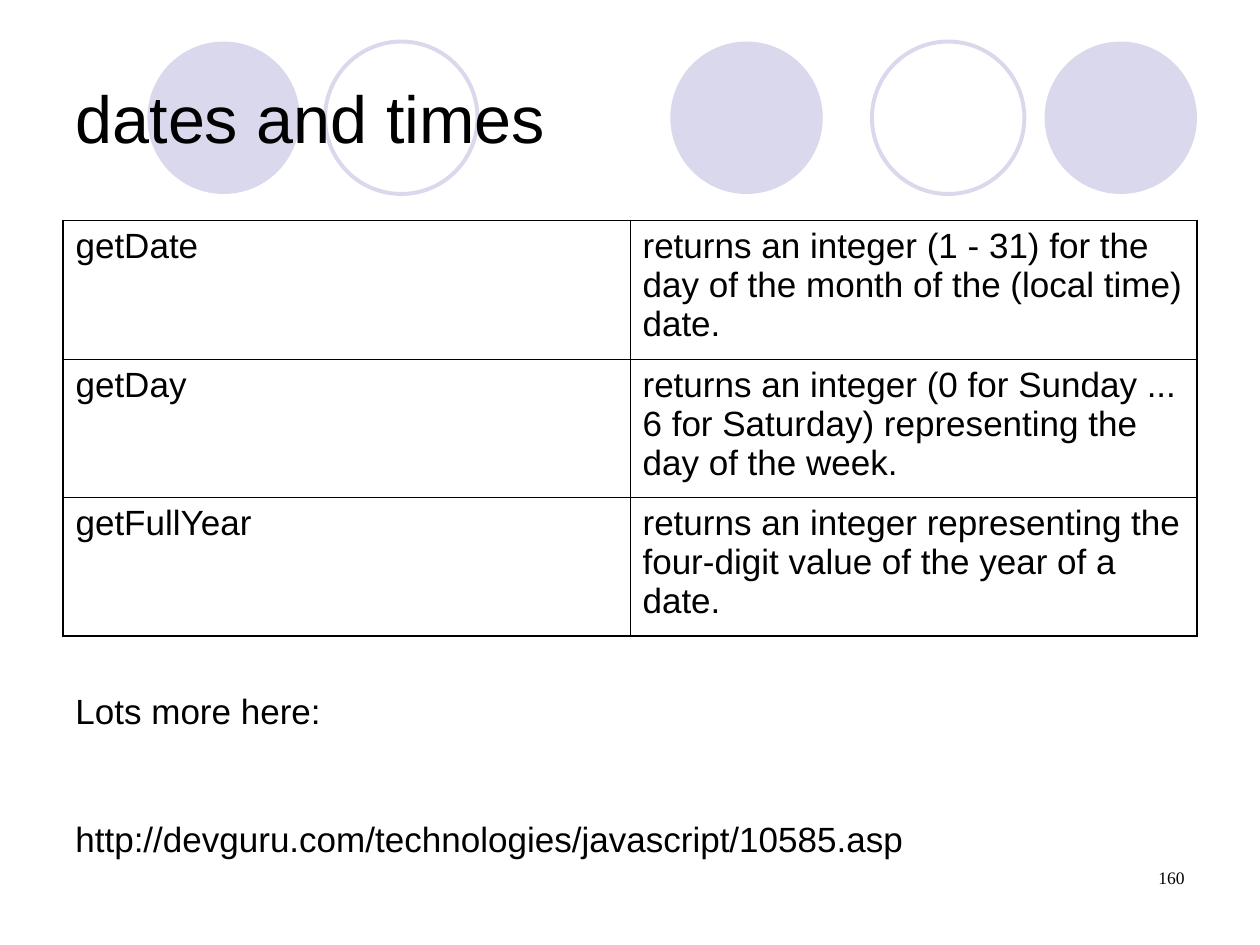
from lxml.etree import SubElement
from pptx import Presentation
from pptx.dml.color import RGBColor
from pptx.enum.shapes import MSO_SHAPE
from pptx.enum.text import MSO_ANCHOR, PP_ALIGN
from pptx.oxml.ns import qn
from pptx.util import Inches, Pt

BLACK = RGBColor(0x00, 0x00, 0x00)
LAVENDER = RGBColor(0xD9, 0xD8, 0xEC)

MARGIN = 0.5
CONTENT_WIDTH = 9
TABLE_TOP = 1.75
ROW_HEIGHT = 1.1
CIRCLE_TOP = 0.33
CIRCLE_SIZE = 1.21
OUTER_BORDER = 1.08
INNER_BORDER = 0.45

CIRCLES = [(5.32, True), (8.29, True), (1.17, True), (6.92, False), (2.58, False)]
METHODS = [
    ("getDate", "returns an integer (1 - 31) for the day of the month of the (local time) date."),
    ("getDay", "returns an integer (0 for Sunday ... 6 for Saturday) representing the day of the week."),
    ("getFullYear", "returns an integer representing the four-digit value of the year of a date."),
]


def write(para, text, size=20, font="Arial", align=PP_ALIGN.LEFT, before=0):
    para.alignment = align
    para.space_before = Pt(before)
    span = para.add_run()
    span.text = text
    span.font.size = Pt(size)
    span.font.name = font
    span.font.color.rgb = BLACK


def add_circle(page, left, filled):
    circle = page.shapes.add_shape(
        MSO_SHAPE.OVAL, Inches(left), Inches(CIRCLE_TOP), Inches(CIRCLE_SIZE), Inches(CIRCLE_SIZE)
    )
    circle.shadow.inherit = False
    if filled:
        circle.fill.solid()
        circle.fill.fore_color.rgb = LAVENDER
        circle.line.fill.background()
    else:
        circle.fill.background()
        circle.line.color.rgb = LAVENDER
        circle.line.width = Pt(2.25)


def format_title(page, text):
    title = page.shapes.title
    title.element.getparent().append(title.element)
    title.left, title.top = Inches(MARGIN), Inches(0.3)
    title.width, title.height = Inches(CONTENT_WIDTH), Inches(1.25)
    title.text_frame.vertical_anchor = MSO_ANCHOR.MIDDLE
    write(title.text_frame.paragraphs[0], text, size=38)


def set_borders(cell, outer_sides):
    properties = cell._tc.get_or_add_tcPr()
    for side in "LRTB":
        width = OUTER_BORDER if side in outer_sides else INNER_BORDER
        border = SubElement(properties, qn(f"a:ln{side}"), w=str(Pt(width)))
        fill = SubElement(border, qn("a:solidFill"))
        SubElement(fill, qn("a:srgbClr"), val=str(BLACK))


def add_method_table(page):
    rows, columns = len(METHODS), len(METHODS[0])
    table = page.shapes.add_table(
        rows, columns, Inches(MARGIN), Inches(TABLE_TOP),
        Inches(CONTENT_WIDTH), Inches(ROW_HEIGHT * rows),
    ).table
    table.first_row = False
    table.horz_banding = False
    for row, method in enumerate(METHODS):
        for column, text in enumerate(method):
            cell = table.cell(row, column)
            outer_sides = "L" if column == 0 else "R"
            if row == 0:
                outer_sides += "T"
            if row == rows - 1:
                outer_sides += "B"
            set_borders(cell, outer_sides)
            cell.fill.background()
            write(cell.text_frame.paragraphs[0], text)


def add_text(page, left, top, width, height, lines, gap=0, **text_format):
    box = page.shapes.add_textbox(Inches(left), Inches(top), Inches(width), Inches(height))
    frame = box.text_frame
    frame.word_wrap = True
    for index, line in enumerate(lines):
        para = frame.add_paragraph() if index else frame.paragraphs[0]
        write(para, line, before=gap if index else 0, **text_format)


def main():
    deck = Presentation()
    deck.slide_width, deck.slide_height = Inches(10), Inches(7.5)
    page = deck.slides.add_slide(deck.slide_layouts[5])
    for left, filled in CIRCLES:
        add_circle(page, left, filled)
    format_title(page, "dates and times")
    add_method_table(page)
    add_text(
        page, MARGIN, 5.42, 9.08, 1.45,
        ["Lots more here:", "http://devguru.com/technologies/javascript/10585.asp"], gap=49.5,
    )
    add_text(
        page, 7.17, 6.83, 2.33, 0.5, ["160"],
        size=10, font="Times New Roman", align=PP_ALIGN.RIGHT,
    )
    deck.save("out.pptx")


if __name__ == "__main__":
    main()
